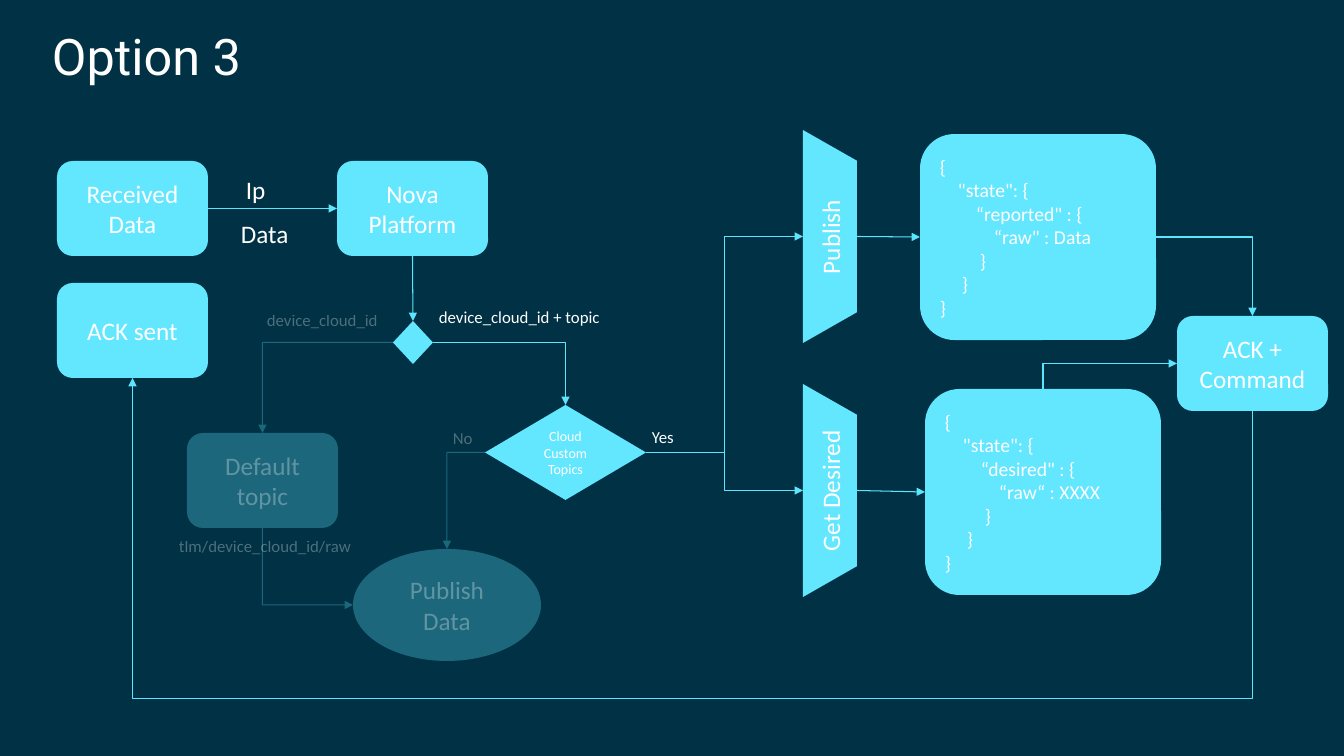
from dataclasses import dataclass

from lxml.etree import SubElement
from pptx import Presentation
from pptx.dml.color import RGBColor
from pptx.enum.shapes import MSO_CONNECTOR as Wire, MSO_SHAPE as Form
from pptx.enum.text import MSO_ANCHOR as Anchor, MSO_AUTO_SIZE as Fit, PP_ALIGN as Align
from pptx.oxml.ns import qn
from pptx.util import Pt

SCALE = 914400 / 100.8
COLORS = {"back": "003144", "box": "62E7FF", "line": "5CE5FD", "text": "FFFFFF"}
FADE = 30000
SITES = {"top": 0, "left": 1, "bottom": 2, "right": 3}


def emu(px):
    """Turn pixels into EMU."""
    return round(px * SCALE)


def color(name):
    """Look up a colour by name."""
    return RGBColor.from_string(COLORS[name])


def fade(shape):
    """Make the colours of a shape partly transparent."""
    for tag in shape._element.iter(qn("a:srgbClr")):
        SubElement(tag, qn("a:alpha"), val=str(FADE))


@dataclass
class Node:
    """A drawn shape, its visible box in pixels and its glue sites."""
    shape: object
    box: tuple
    sites: dict

    def point(self, side):
        """Give the middle of one side."""
        x, y, w, h = self.box
        return {"top": (x + w / 2, y), "left": (x, y + h / 2),
                "bottom": (x + w / 2, y + h), "right": (x + w, y + h / 2)}[side]


class Chart:
    """Holds the slide and the style of the flow chart."""

    def __init__(self, slide, font="Calibri"):
        """Start on a slide and paint its background."""
        self.slide, self.font = slide, font
        fill = slide.background.fill
        fill.solid()
        fill.fore_color.rgb = color("back")

    def put(self, frame, lines, size, align=None, font=None, steps=None):
        """Fill a text frame, one paragraph a line, with optional indents."""
        for i, line in enumerate(lines):
            para = frame.paragraphs[0] if i == 0 else frame.add_paragraph()
            para.alignment = align
            if steps:
                para._p.get_or_add_pPr().set("marL", str(emu(steps[i])))
            run = para.add_run()
            run.text = line
            run.font.size = Pt(size)
            run.font.name = font or self.font
            run.font.color.rgb = color("text")

    def node(self, form, box, lines=(), size=18, dim=False, turn=0,
             align=Align.CENTER, steps=None, sites=SITES):
        """Draw a filled shape whose visible box is given."""
        x, y, w, h = box
        if turn:
            x, y, w, h = x + (w - h) / 2, y + (h - w) / 2, h, w
        shape = self.slide.shapes.add_shape(form, *map(emu, (x, y, w, h)))
        shape.rotation = turn
        shape.shadow.inherit = False
        shape.fill.solid()
        shape.fill.fore_color.rgb = color("box")
        shape.line.fill.background()
        shape.text_frame.vertical_anchor = Anchor.MIDDLE
        self.put(shape.text_frame, lines, size, align, steps=steps)
        if dim:
            fade(shape)
        return Node(shape, box, sites)

    def step(self, x, y, text, dim=False):
        """Draw a rounded process box."""
        return self.node(Form.ROUNDED_RECTANGLE, (x, y, 151, 95), [text], dim=dim)

    def code(self, x, y, key, value):
        """Draw a rounded box with a small JSON document."""
        lines = ["{", '"state": {', f"“{key}\" : {{", value, "}", "}", "}"]
        return self.node(Form.ROUNDED_RECTANGLE, (x, y, 236, 206), lines, 14,
                         align=Align.LEFT, steps=[0, 18, 36, 54, 40, 22, 0])

    def gate(self, y):
        """Draw a trapezoid turned on its side."""
        gate = self.node(Form.TRAPEZOID, (803, y, 54, 213), turn=90,
                         sites={"right": 0, "top": 1, "left": 2, "bottom": 3})
        gate.shape.adjustments[0] = 0.57
        return gate

    def link(self, start, out, end, into, dim=False, mid=None):
        """Join two nodes by a straight or bent arrow; mid is the level of its bar."""
        (x1, y1), (x2, y2) = start.point(out), end.point(into)
        dx, dy = x2 - x1, y2 - y1
        bent = min(abs(dx), abs(dy)) > 3
        wire = self.slide.shapes.add_connector(
            Wire.ELBOW if bent else Wire.STRAIGHT, *map(emu, (x1, y1, x2, y2)))
        wire.begin_connect(start.shape, start.sites[out])
        wire.end_connect(end.shape, end.sites[into])
        props = wire._element.spPr
        frame, geom = props.find(qn("a:xfrm")), props.find(qn("a:prstGeom"))
        w, h, flips = abs(dx), abs(dy), (dx < 0, dy < 0)
        sides, upright = ("top", "bottom"), out in ("top", "bottom")
        if bent and upright:
            w, h, flips = h, w, (dy > 0, dx < 0)
            frame.set("rot", str(270 * 60000))
        wire.left, wire.top = emu((x1 + x2 - w) / 2), emu((y1 + y2 - h) / 2)
        wire.width, wire.height = emu(w), emu(h)
        for name, flip in zip(("flipH", "flipV"), flips):
            frame.set(name, str(int(flip)))
        if bent and upright != (into in sides):
            geom.set("prst", "bentConnector2")
        if mid is not None:
            ratio = round((mid - y1) / dy * 100000)
            SubElement(geom.find(qn("a:avLst")), qn("a:gd"),
                       name="adj1", fmla=f"val {ratio}")
        wire.line.color.rgb = color("line")
        wire.line.width = Pt(0.75)
        SubElement(props.find(qn("a:ln")), qn("a:tailEnd"), type="triangle")
        SubElement(props, qn("a:effectLst"))
        if dim:
            fade(wire)

    def label(self, box, text, size=12, dim=False, turn=0, font=None):
        """Place free text in a box."""
        shape = self.slide.shapes.add_textbox(*map(emu, box))
        shape.rotation = turn
        shape.text_frame.word_wrap = not turn
        shape.text_frame.auto_size = Fit.SHAPE_TO_FIT_TEXT
        self.put(shape.text_frame, [text], size, font=font)
        if dim:
            fade(shape)


deck = Presentation()
deck.slide_width, deck.slide_height = emu(1344), emu(756)
flow = Chart(deck.slides.add_slide(deck.slide_layouts[6]))

flow.label((42, 20, 598, 72), "Option 3", 36, font="Roboto")

data = flow.step(57, 161, "Received Data")
base = flow.step(337, 161, "Nova Platform")
sent = flow.step(57, 283, "ACK sent")
reply = flow.step(1177, 316, "ACK + Command")
topic = flow.step(187, 433, "Default topic", dim=True)
report = flow.code(920, 134, "reported", "“raw\" : Data")
wish = flow.code(925, 389, "desired", "“raw“ : XXXX")
fork = flow.node(Form.DIAMOND, (393, 321, 40, 43))
check = flow.node(Form.DIAMOND, (485, 405, 161, 95), ["Cloud", "Custom", "Topics"], 10)
store = flow.node(Form.OVAL, (353, 549, 188, 112), ["Publish", "Data"], dim=True,
                  sites={"top": 0, "left": 2})
push, pull = flow.gate(130), flow.gate(384)

for start, out, end, into in (
        (data, "right", base, "left"), (base, "bottom", fork, "top"),
        (fork, "right", check, "top"), (check, "right", push, "left"),
        (check, "right", pull, "left"), (push, "right", report, "left"),
        (pull, "right", wish, "left"), (report, "right", reply, "top"),
        (wish, "top", reply, "left")):
    flow.link(start, out, end, into)
flow.link(reply, "bottom", sent, "bottom", mid=698)
for start, out, end, into in (
        (check, "left", store, "top"), (fork, "left", topic, "top"),
        (topic, "bottom", store, "left")):
    flow.link(start, out, end, into, dim=True)

flow.label((782, 216, 96, 40), "Publish", 18, turn=270)
flow.label((759, 470, 142, 40), "Get Desired", 18, turn=270)
flow.label((236, 169, 77, 40), "Ip", 18)
flow.label((231, 213, 77, 40), "Data", 18)
flow.label((429, 302, 224, 30), "device_cloud_id + topic")
flow.label((642, 422, 56, 30), "Yes")
flow.label((257, 305, 224, 30), "device_cloud_id", dim=True)
flow.label((443, 423, 56, 30), "No", dim=True)
flow.label((169, 531, 296, 30), "tlm/device_cloud_id/raw", dim=True)

deck.save("out.pptx")
